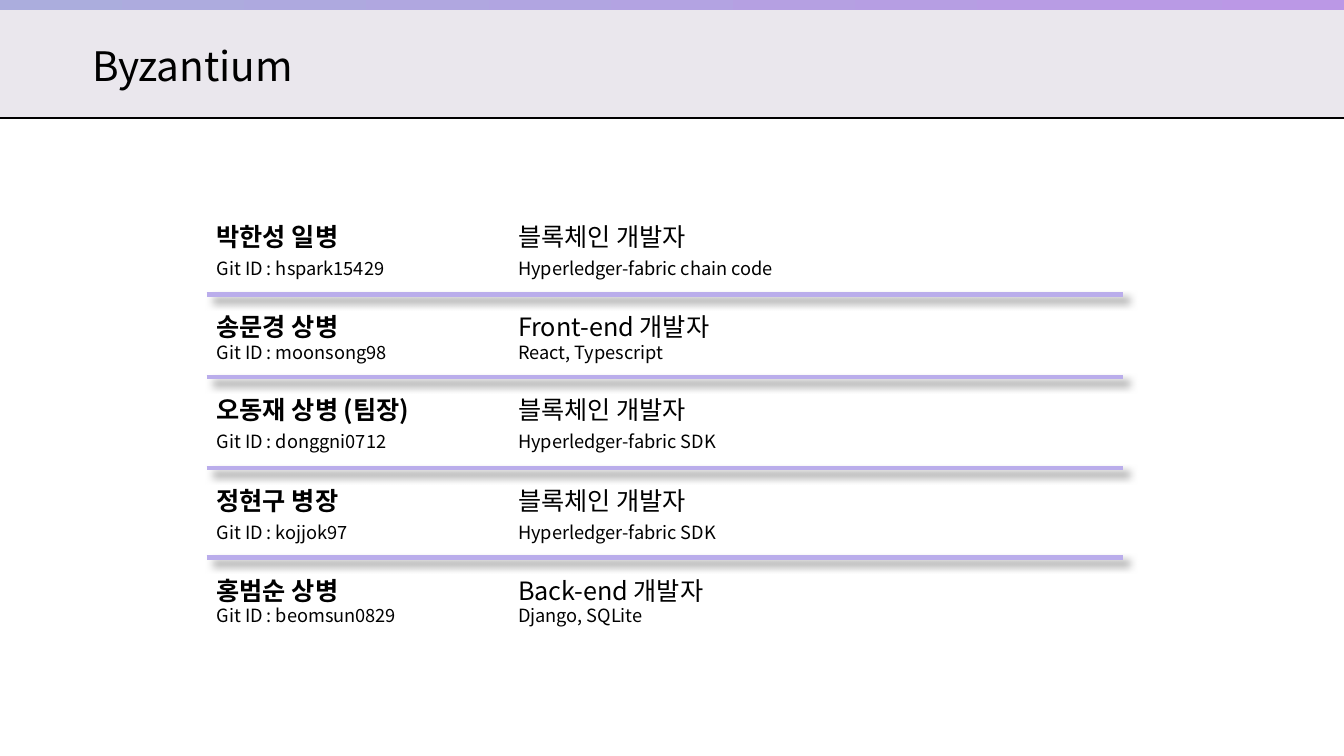
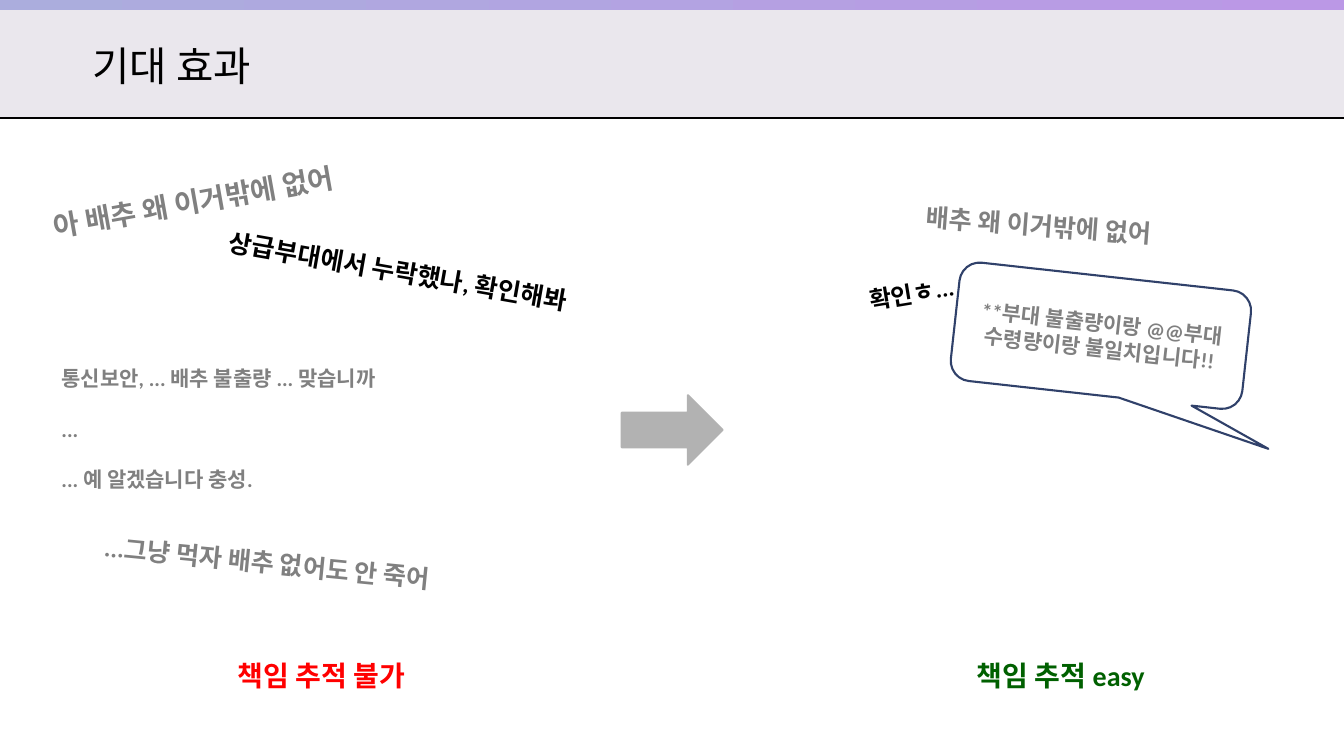
from lxml import etree
from pptx import Presentation, util as u
from pptx.dml.color import RGBColor
from pptx.enum import shapes, text
from pptx.oxml.ns import qn

HUE = {
    "band": "EAE7ED", "left": "ABADDD", "right": "BB98E6", "rule": "BAADEB",
    "black": "000000", "gray": "808080", "arrow": "B2B2B2", "white": "FFFFFF",
    "navy": "30416A", "red": "FF0000", "green": "006000",
}
RGB = {name: RGBColor.from_string(code) for name, code in HUE.items()}
NOTO, CAL = "Noto Sans CJK KR", "Calibri"
KIND = shapes.MSO_SHAPE


def put(frame, lines, size=18, font=CAL, hue="gray", bold=True, lead=None,
        gap=0, tab=None, align=None):
    """Fill a frame; a line is a string or a list of (string, bold) runs."""
    frame.word_wrap = True
    for i, line in enumerate(lines):
        para = frame.add_paragraph() if i else frame.paragraphs[0]
        if tab:
            tabs = etree.SubElement(para._p.get_or_add_pPr(), qn("a:tabLst"))
            etree.SubElement(tabs, qn("a:tab"), pos=str(u.Cm(tab)), algn="l")
        if lead:
            para.line_spacing = u.Pt(lead)
        if i and gap:
            para.space_before = u.Pt(gap)
        if align:
            para.alignment = align
        for words, heavy in [(line, bold)] if isinstance(line, str) else line:
            run = para.add_run()
            run.text = words
            run.font.size = u.Pt(size)
            run.font.name = font
            run.font.bold = heavy
            run.font.color.rgb = RGB[hue]
            etree.SubElement(run.font._element, qn("a:ea"), typeface=font)


def rule(slide, x, y, end, hue, width, shade=False):
    line = slide.shapes.add_connector(
        shapes.MSO_CONNECTOR.STRAIGHT, u.Cm(x), u.Cm(y), u.Cm(end), u.Cm(y))
    line.line.color.rgb = RGB[hue]
    line.line.width = u.Pt(width)
    fx = etree.SubElement(line._element.spPr, qn("a:effectLst"))
    if shade:
        cast = etree.SubElement(
            fx, qn("a:outerShdw"), blurRad=str(u.Pt(6)), dist=str(u.Pt(6)),
            dir="2700000", algn="tl", rotWithShape="0")
        tint = etree.SubElement(cast, qn("a:srgbClr"), val=HUE["black"])
        etree.SubElement(tint, qn("a:alpha"), val="50000")


deck = Presentation()
deck.slide_width, deck.slide_height = u.Cm(33.87), u.Cm(19.05)
blank = deck.slide_layouts[6]

# Header shared by both slides
pages = []
for title in ("Byzantium", "기대 효과"):
    page = deck.slides.add_slide(blank)
    pages.append(page)
    band = page.shapes.add_shape(KIND.RECTANGLE, 0, 0, deck.slide_width, u.Cm(2.97))
    band.shadow.inherit = False
    band.fill.solid()
    band.fill.fore_color.rgb = band.line.color.rgb = RGB["band"]
    band.line.width = u.Pt(1.5)
    rule(page, 0, 2.97, 33.87, "black", 1)
    strip = page.shapes.add_shape(KIND.RECTANGLE, 0, 0, deck.slide_width, u.Cm(0.25))
    strip.shadow.inherit = False
    strip.fill.gradient()
    strip.fill.gradient_angle = 0
    for stop, hue in zip(strip.fill.gradient_stops, ("left", "right")):
        stop.color.rgb = RGB[hue]
    strip.line.fill.background()
    head = page.shapes.add_textbox(u.Cm(2.08), u.Cm(0.79), u.Cm(11.63), u.Cm(1.47))
    put(head.text_frame, [title], size=29, font=NOTO, hue="black", bold=False, lead=38)
team, gain = pages

# Team members: top, name, role, account, skills, pitch of the second line
crew = [
    (5.41, "박한성 일병", "블록체인 개발자", "hspark15429", "Hyperledger-fabric chain code", 20),
    (7.7, "송문경 상병", "Front-end 개발자", "moonsong98", "React, Typescript", 15),
    (9.78, "오동재 상병 (팀장)", "블록체인 개발자", "donggni0712", "Hyperledger-fabric SDK", 20),
    (12.07, "정현구 병장", "블록체인 개발자", "kojjok97", "Hyperledger-fabric SDK", 20),
    (14.33, "홍범순 상병", "Back-end 개발자", "beomsun0829", "Django, SQLite", 15),
]
for i, (top, name, role, user, skill, lead) in enumerate(crew):
    if i:
        rule(team, 5.21, top - 0.28, 28.3, "rule", 3, shade=True)
    frame = team.shapes.add_textbox(u.Cm(5.21), u.Cm(top), u.Cm(23.37), u.Cm(1.9)).text_frame
    put(frame, [[(name, True), ("\t" + role, False)],
                [(f"Git ID : {user}\t{skill}", False)]],
        font=NOTO, hue="black", lead=22.5, tab=7.6)
    low = frame.paragraphs[1]
    low.line_spacing = u.Pt(lead)
    for run in low.runs:
        run.font.size = u.Pt(13)

# Remarks: left, top, width, height, turn, lines, format
talk = [
    (1.04, 4.37, 9.42, 1.09, -10.1, ["아 배추 왜 이거밖에 없어"], {"size": 20}),
    (5.46, 6.4, 10.06, 1.09, 10, ["상급부대에서 누락했나, 확인해봐"], {"hue": "black"}),
    (2.36, 13.74, 10.06, 1.02, 5.7, ["...그냥 먹자 배추 없어도 안 죽어"], {}),
    (23.09, 5.28, 9.22, 1.02, 4.3, ["배추 왜 이거밖에 없어"], {}),
    (1.3, 9.09, 11.13, 3.43, 0,
     ["통신보안, ... 배추 불출량 ... 맞습니까", "...", "... 예 알겠습니다 충성."],
     {"size": 15, "gap": 18}),
    (21.62, 6.45, 8.28, 1.02, -9.3, ["확인ㅎ..."], {"size": 17, "hue": "black"}),
    (5.74, 16.48, 5.56, 1.09, 0, ["책임 추적 불가"], {"size": 20, "hue": "red"}),
    (24.36, 16.48, 5.56, 1.09, 0, ["책임 추적 easy"], {"size": 20, "hue": "green"}),
]
for *place, turn, lines, form in talk:
    note = gain.shapes.add_textbox(*map(u.Cm, place))
    note.rotation = turn
    put(note.text_frame, lines, **form)

# Arrow and speech bubble
forms = [
    (KIND.RIGHT_ARROW, (15.67, 9.96, 2.54, 1.75), 0, (0.5, 0.5), "arrow", "arrow", None),
    (KIND.ROUNDED_RECTANGULAR_CALLOUT, (24.05, 6.96, 7.39, 3), 6.3, (0.61, 0.79, 0.17),
     "white", "navy", "**부대 불출량이랑 @@부대 수령량이랑 불일치입니다!!"),
]
for kind, place, turn, bends, fill, edge, words in forms:
    form = gain.shapes.add_shape(kind, *map(u.Cm, place))
    form.shadow.inherit = False
    form.rotation = turn
    for i, bend in enumerate(bends):
        form.adjustments[i] = bend
    form.fill.solid()
    form.fill.fore_color.rgb = RGB[fill]
    form.line.color.rgb = RGB[edge]
    form.line.width = u.Pt(1.5)
    if words:
        form.text_frame.vertical_anchor = text.MSO_ANCHOR.MIDDLE
        put(form.text_frame, [words], size=15, align=text.PP_ALIGN.CENTER)

deck.save("out.pptx")
